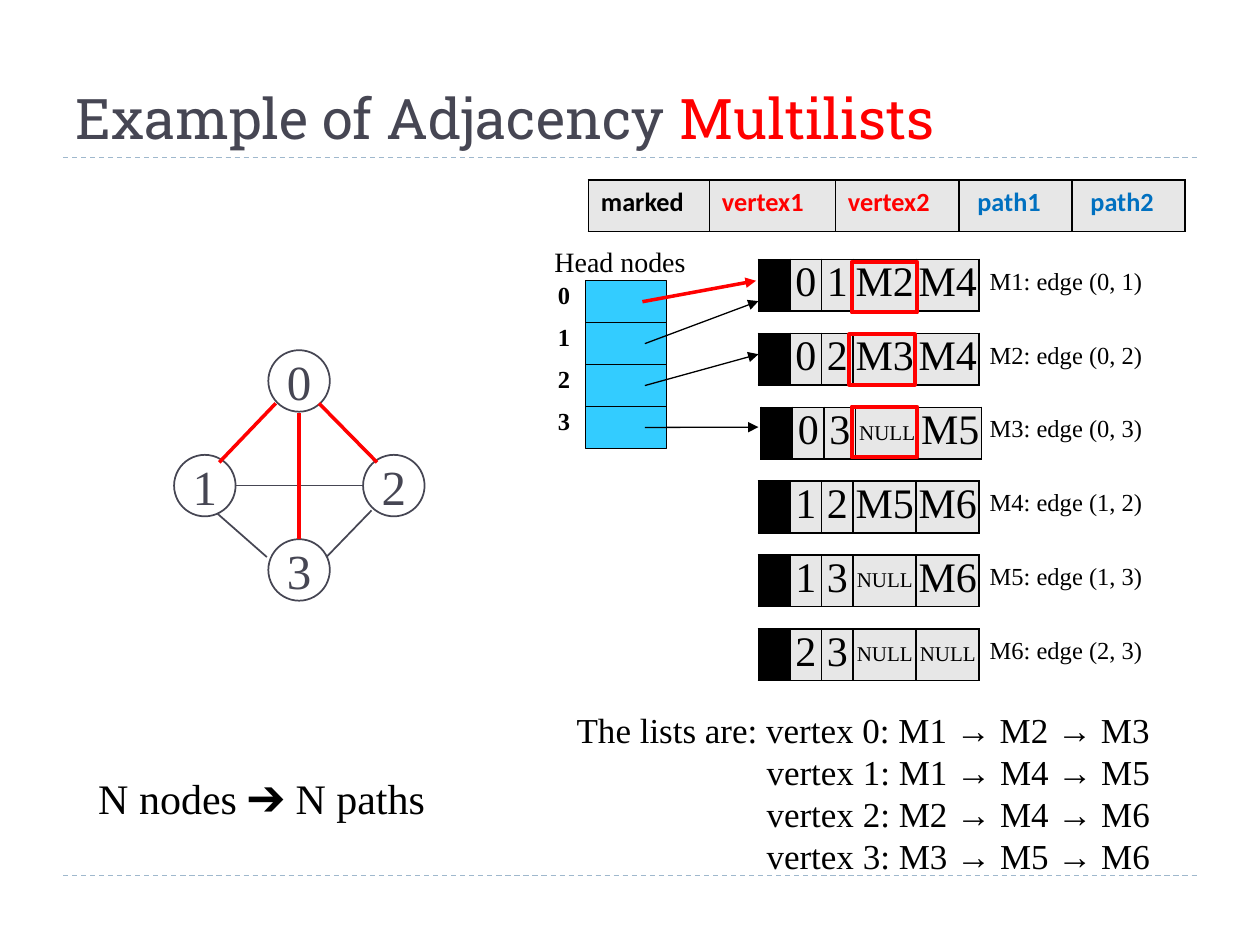
"""Build the slide explaining adjacency multilists with a four-node graph."""
from lxml import etree
from pptx import Presentation
from pptx.dml.color import RGBColor
from pptx.enum.dml import MSO_LINE
from pptx.enum.shapes import MSO_CONNECTOR, MSO_SHAPE
from pptx.enum.text import MSO_ANCHOR, PP_ALIGN
from pptx.oxml.ns import qn
from pptx.util import Cm, Pt

LEFT, CENTER, RIGHT = PP_ALIGN.LEFT, PP_ALIGN.CENTER, PP_ALIGN.RIGHT
TOP, MIDDLE, BOTTOM = MSO_ANCHOR.TOP, MSO_ANCHOR.MIDDLE, MSO_ANCHOR.BOTTOM
DASH = MSO_LINE.DASH
STRAIGHT = MSO_CONNECTOR.STRAIGHT
OVAL, RECT = MSO_SHAPE.OVAL, MSO_SHAPE.RECTANGLE

THEME = dict(
    serif="Times New Roman", sans="Calibri", slab="Roboto Slab",
    ink="000000", slate="464653", red="FF0000", blue="0070C0", cyan="33CCFF",
    grey="E7E7E7", white="FFFFFF", rule="9FB8CD",
    title=32, node=28, cell=24, list=20, head=16, field=15, label=14, null=12,
)

TITLE = [("Example of Adjacency ", "slate"), ("Multilists", "red")]
FIELDS = [("marked", "ink", 2.44), ("vertex1", "red", 2.54), ("vertex2", "red", 2.49),
          (" path1", "blue", 2.28), (" path2", "blue", 2.28)]
NODES = [(6.03, 7.68), (4.13, 9.79), (7.94, 9.79), (6.03, 11.49)]
EDGES = [(4.75, 9.79, 7.3, 9.79, "slate", 1), (4.39, 10.36, 5.38, 11.23, "slate", 1),
         (7.49, 10.29, 6.58, 11.23, "slate", 1), (6.03, 8.33, 6.03, 10.87, "red", 2),
         (5.56, 8.13, 4.42, 9.32, "red", 2), (6.43, 8.13, 7.6, 9.32, "red", 2)]
POINTERS = [(12.95, 15.24, 5.66, "red", 2), (13, 15.29, 6.07, "ink", 0.75),
            (13, 15.29, 7.14, "ink", 0.75), (13, 15.29, 8.61, "ink", 0.75)]
RECORDS = [("0", "1", "M2", "M4"), ("0", "2", "M3", "M4"), ("0", "3", "NULL", "M5"),
           ("1", "2", "M5", "M6"), ("1", "3", "NULL", "M6"), ("2", "3", "NULL", "NULL")]
RECORD_LEFT = [15.29, 15.29, 15.34, 15.29, 15.29, 15.29]
RECORD_WIDTHS = [0.64, 0.63, 0.64, 1.27, 1.27]
HIGHLIGHT_LEFT = [17.17, 17.12, 17.17]
LISTS = ["The lists are: vertex 0: M1 → M2 → M3", "vertex 1: M1 → M4 → M5",
         "vertex 2: M2 → M4 → M6", "vertex 3: M3 → M5 → M6"]

HEAD_TOP, HEAD_H = 5.66, 0.845
RECORD_TOP, RECORD_STEP, ROW_H = 5.23, 1.49, 1.04
NODE_D = 1.24


def color(name):
    return RGBColor.from_string(THEME[name])


def add_run(p, text, size, font="serif", ink="ink", bold=False):
    r = p.add_run()
    r.text = text
    r.font.name = THEME[font]
    r.font.size = Pt(THEME[size])
    r.font.bold = bold
    r.font.color.rgb = color(ink)


def add_text(s, box, lines, size, align=CENTER, bold=False, inset=True):
    tf = s.shapes.add_textbox(*map(Cm, box)).text_frame
    tf.word_wrap = not inset
    if not inset:
        tf.vertical_anchor = MIDDLE
        tf.margin_left = tf.margin_right = tf.margin_top = tf.margin_bottom = 0
    for i, line in enumerate(lines):
        p = tf.add_paragraph() if i else tf.paragraphs[0]
        p.alignment = align
        add_run(p, line, size, bold=bold)


def add_shape(s, kind, box, fill, line, width):
    sp = s.shapes.add_shape(kind, *map(Cm, box))
    sp.shadow.inherit = False
    if fill:
        sp.fill.solid()
        sp.fill.fore_color.rgb = color(fill)
    else:
        sp.fill.background()
    sp.line.color.rgb = color(line)
    sp.line.width = Pt(width)
    return sp


def add_line(s, x1, y1, x2, y2, ink, width, dash=None, arrow=False):
    cx = s.shapes.add_connector(STRAIGHT, Cm(x1), Cm(y1), Cm(x2), Cm(y2))
    cx.line.color.rgb = color(ink)
    cx.line.width = Pt(width)
    if dash:
        cx.line.dash_style = dash
    if arrow:
        etree.SubElement(cx.line._get_or_add_ln(), qn("a:tailEnd"), type="triangle")
    etree.SubElement(cx._element.spPr, qn("a:effectLst"))


def style_cell(cell, fill):
    tcPr = cell._tc.get_or_add_tcPr()
    for side in ("a:lnL", "a:lnR", "a:lnT", "a:lnB"):
        ln = etree.SubElement(tcPr, qn(side), w=str(Pt(1)))
        solid = etree.SubElement(ln, qn("a:solidFill"))
        etree.SubElement(solid, qn("a:srgbClr"), val=THEME["ink"])
    cell.fill.solid()
    cell.fill.fore_color.rgb = color(fill)


def add_row(s, left, top, widths):
    frame = s.shapes.add_table(1, len(widths), Cm(left), Cm(top), Cm(sum(widths)), Cm(ROW_H))
    for col, width in zip(frame.table.columns, widths):
        col.width = Cm(width)
    return list(frame.table.rows[0].cells)


def add_fields(s):
    cells = add_row(s, 11.86, 3.63, [width for _, _, width in FIELDS])
    for cell, (text, ink, _) in zip(cells, FIELDS):
        style_cell(cell, "grey")
        add_run(cell.text_frame.paragraphs[0], text, "field", "sans", ink, True)


def add_record(s, i, record):
    top = RECORD_TOP + i * RECORD_STEP
    cells = add_row(s, RECORD_LEFT[i], top, RECORD_WIDTHS)
    for cell, text in zip(cells, ("",) + record):
        style_cell(cell, "grey" if text else "ink")
        cell.margin_left = cell.margin_right = cell.margin_top = cell.margin_bottom = 0
        if text:
            null = text == "NULL"
            cell.vertical_anchor = MIDDLE if null else TOP
            p = cell.text_frame.paragraphs[0]
            p.alignment = CENTER
            add_run(p, text, "null" if null else "cell")
    label = f"M{i + 1}: edge ({record[0]}, {record[1]})"
    add_text(s, (19.69, top, 3.6, 0.87), [label], "label")


def add_graph(s):
    for i, (x, y) in enumerate(NODES):
        box = (x - NODE_D / 2, y - NODE_D / 2, NODE_D, NODE_D)
        tf = add_shape(s, OVAL, box, "white", "slate", 1).text_frame
        tf.word_wrap = False
        tf.vertical_anchor = MIDDLE
        p = tf.paragraphs[0]
        p.alignment = CENTER
        add_run(p, str(i), "node", ink="slate")
    for edge in EDGES:
        add_line(s, *edge)


def add_heads(s):
    add_text(s, (10.9, 4.8, 3.2, 0.94), ["Head nodes"], "head")
    for i in range(len(POINTERS)):
        top = HEAD_TOP + i * HEAD_H
        add_shape(s, RECT, (11.81, top, 1.63, HEAD_H), "cyan", "ink", 0.75)
        add_text(s, (11.05, top, 0.64, 0.58), [str(i)], "label", bold=True, inset=False)


def main():
    prs = Presentation()
    prs.slide_width, prs.slide_height = Cm(25.4), Cm(19.05)
    s = prs.slides.add_slide(prs.slide_layouts[5])
    title = s.shapes.title
    title.left, title.top, title.width, title.height = map(Cm, (1.27, 0.43, 22.86, 2.74))
    title.text_frame.vertical_anchor = BOTTOM
    p = title.text_frame.paragraphs[0]
    p.alignment = LEFT
    for text, ink in TITLE:
        add_run(p, text, "title", "slab", ink)
    for y in (3.18, 17.65):
        add_line(s, 1.27, y, 24.13, y, "rule", 0.75, DASH)

    add_graph(s)
    add_fields(s)
    add_heads(s)
    for i, record in enumerate(RECORDS):
        add_record(s, i, record)
    for i, (x1, x2, y2, ink, width) in enumerate(POINTERS):
        y1 = HEAD_TOP + (i + 0.5) * HEAD_H
        add_line(s, x1, y1, x2, y2, ink, width, arrow=True)
    for i, left in enumerate(HIGHLIGHT_LEFT):
        add_shape(s, RECT, (left, 5.28 + 1.46 * i, 1.32, 1.02), None, "red", 2.25)

    add_text(s, (11.3, 14.15, 12.14, 3.68), LISTS, "list", RIGHT)
    add_text(s, (1.73, 15.44, 7.34, 1.3), ["N nodes ➔ N paths"], "cell", LEFT)
    prs.save("out.pptx")


if __name__ == "__main__":
    main()
